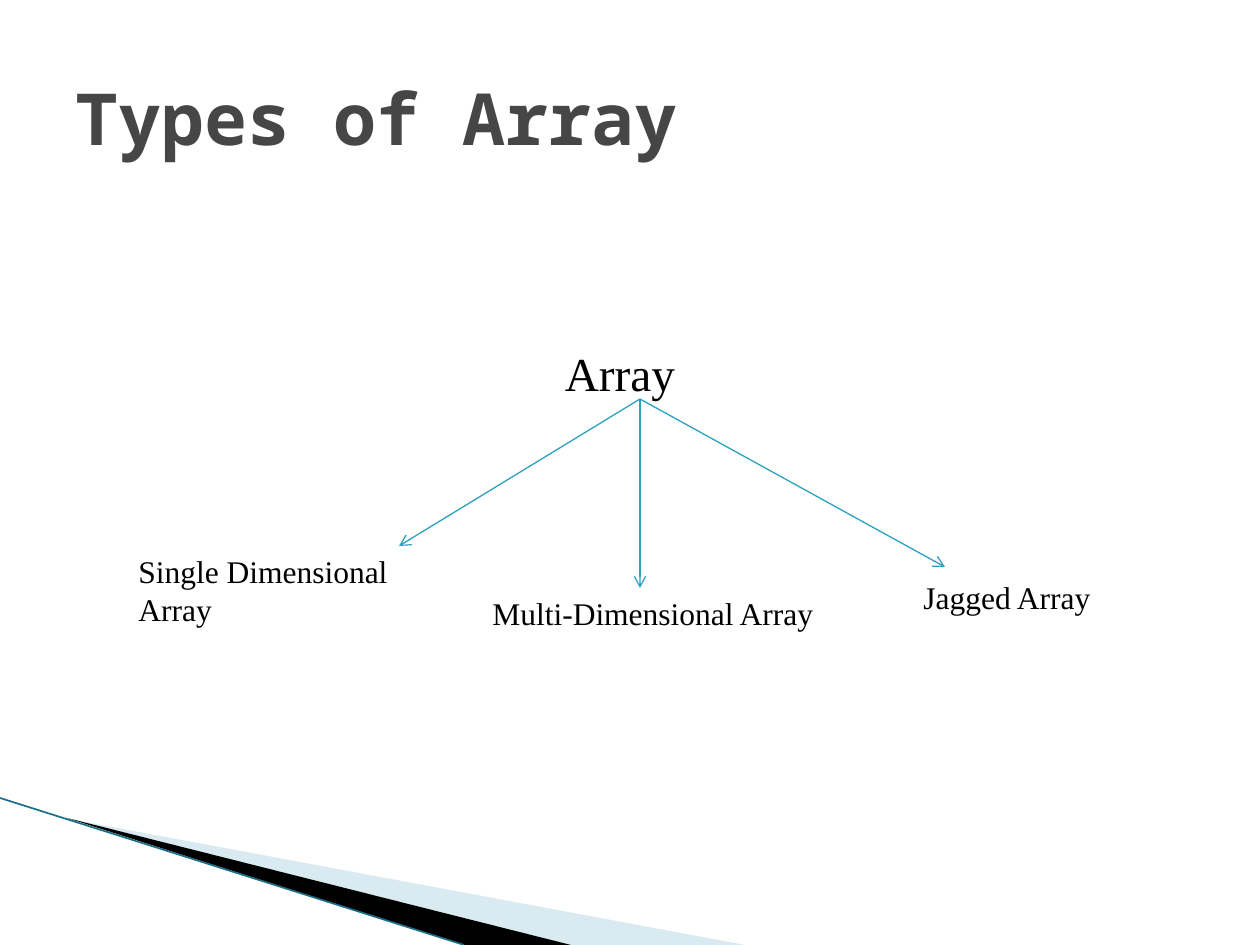
from dataclasses import dataclass
from lxml.etree import SubElement
from pptx import Presentation
from pptx.dml.color import RGBColor
from pptx.enum.shapes import MSO_CONNECTOR
from pptx.enum.text import MSO_ANCHOR, PP_ALIGN
from pptx.oxml.ns import qn
from pptx.util import Pt

SCALE = 914400 // 126  # EMU per pixel


@dataclass
class Theme:
    head: str = "Noto Sans Mono"
    body: str = "Times New Roman"
    ink: str = "000000"
    grey: str = "464646"
    teal: str = "2DA2BF"
    edge: str = "1B6F85"
    pale: str = "A0CBDC"
    big: int = 41
    mid: int = 27
    small: int = 18


class Deck:
    def __init__(self, theme):
        self.theme = theme
        self.prs = Presentation()
        self.prs.slide_width = 1260 * SCALE
        self.prs.slide_height = 945 * SCALE
        self.slide = self.prs.slides.add_slide(self.prs.slide_layouts[6])
        self.shapes = self.slide.shapes

    def text(self, words, box, size, font=None, color=None, bold=False,
             align=PP_ALIGN.LEFT, anchor=MSO_ANCHOR.TOP, wrap=True):
        frame = self.shapes.add_textbox(*(n * SCALE for n in box)).text_frame
        frame.text = words
        frame.word_wrap = wrap
        frame.vertical_anchor = anchor
        para = frame.paragraphs[0]
        para.alignment = align
        style = para.runs[0].font
        style.name = font or self.theme.body
        style.size = Pt(size)
        style.bold = bold
        style.color.rgb = RGBColor.from_string(color or self.theme.ink)

    def line(self, start, end, color, width, arrow=False):
        link = self.shapes.add_connector(
            MSO_CONNECTOR.STRAIGHT, *(n * SCALE for n in start + end))
        link.line.color.rgb = RGBColor.from_string(color)
        link.line.width = Pt(width)
        if arrow:
            SubElement(link.line._get_or_add_ln(), qn("a:tailEnd"), type="arrow")
        SubElement(link._element.spPr, qn("a:effectLst"))

    def wedge(self, points, color, alpha=None):
        pen = self.shapes.build_freeform(*points[0], scale=SCALE)
        pen.add_line_segments(points[1:])
        form = pen.convert_to_shape()
        form.shadow.inherit = False
        form.fill.solid()
        form.fill.fore_color.rgb = RGBColor.from_string(color)
        form.line.fill.background()
        if alpha:
            tint = form._element.spPr.find(qn("a:solidFill"))[0]
            SubElement(tint, qn("a:alpha"), val=str(alpha * 1000))


theme = Theme()
deck = Deck(theme)

# Corner wedges
deck.wedge([(69, 819), (745, 945), (571, 945)], theme.pale, 40)
deck.wedge([(67, 818), (571, 945), (464, 945)], theme.ink)
deck.line((0, 798), (464, 945), theme.edge, 0.95)

# Title and root
deck.text("Types of Array", (63, 38, 1134, 158), theme.big, theme.head,
          theme.grey, bold=True, anchor=MSO_ANCHOR.MIDDLE)
deck.text("Array", (520, 338, 200, 66), theme.mid, align=PP_ALIGN.CENTER)

# Branches: label, box, arrow tip, wrap
root = (640, 399)
kinds = [
    ("Jagged Array", (911, 572, 194, 50), (945, 567), False),
    ("Single Dimensional Array", (126, 546, 323, 89), (399, 546), True),
    ("Multi-Dimensional Array", (480, 588, 370, 50), (640, 588), True),
]
for label, box, tip, wrap in kinds:
    deck.line(root, tip, theme.teal, 0.75, arrow=True)
    deck.text(label, box, theme.small, wrap=wrap)

deck.prs.save("out.pptx")
